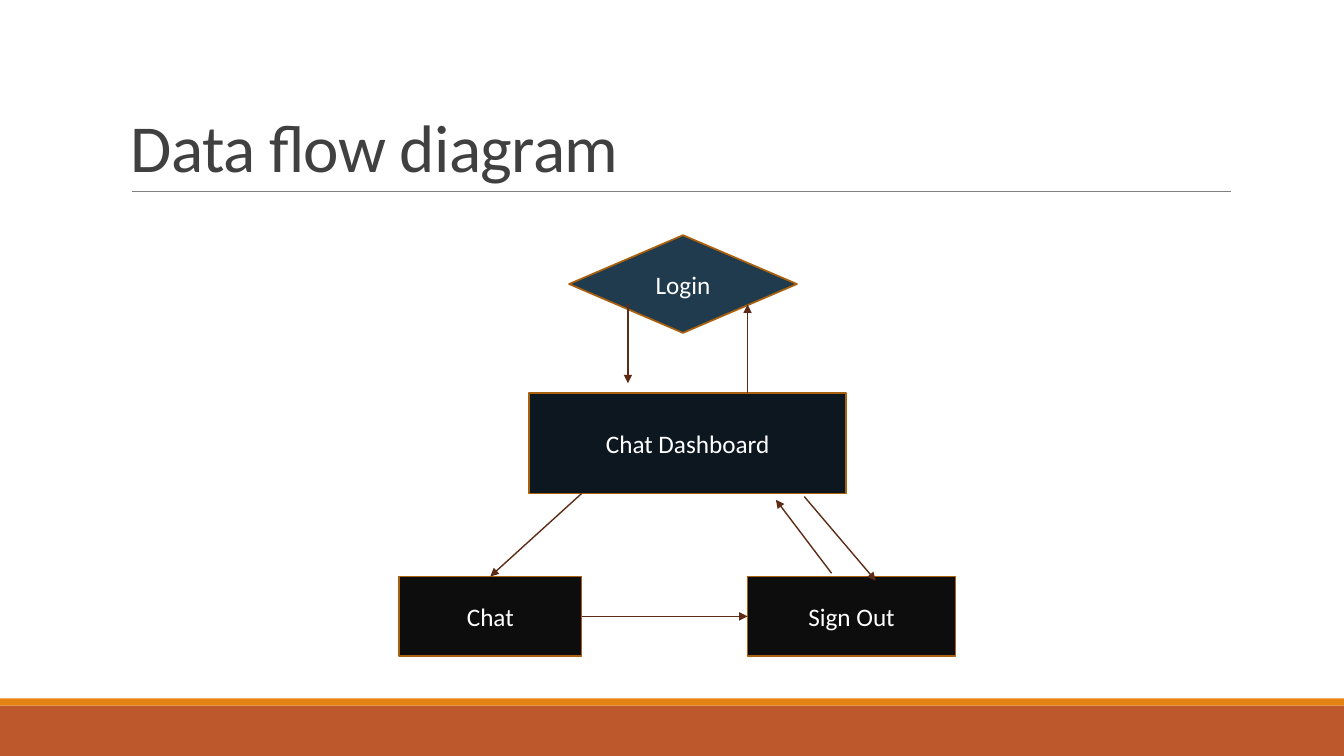
from lxml.etree import SubElement
from pptx import Presentation
from pptx.dml.color import RGBColor
from pptx.enum.shapes import MSO_CONNECTOR, MSO_SHAPE
from pptx.enum.text import MSO_ANCHOR, MSO_AUTO_SIZE, PP_ALIGN
from pptx.oxml.ns import qn
from pptx.util import Emu, Pt

EMU_PER_PX = 9525
SLIDE_WIDTH, SLIDE_HEIGHT = 1280, 720
TOP, LEFT, RIGHT = 0, 1, 3


def px(length):
    return Emu(length * EMU_PER_PX)


def color(hex_string):
    return RGBColor.from_string(hex_string)


def write_text(shape, text, size, hex_color, align=PP_ALIGN.CENTER,
               anchor=MSO_ANCHOR.MIDDLE, line_spacing=None, tracking=None):
    frame = shape.text_frame
    frame.word_wrap = True
    frame.auto_size = MSO_AUTO_SIZE.NONE
    frame.vertical_anchor = anchor
    paragraph = frame.paragraphs[0]
    paragraph.alignment = align
    paragraph.line_spacing = line_spacing
    run = paragraph.add_run()
    run.text = text
    run.font.name = "Calibri"
    run.font.size = Pt(size)
    run.font.color.rgb = color(hex_color)
    if tracking is not None:
        run.font._element.set("spc", str(tracking))


def add_block(slide, kind, left, top, width, height, fill, outline=None):
    shape = slide.shapes.add_shape(kind, px(left), px(top), px(width), px(height))
    shape.shadow.inherit = False
    shape.fill.solid()
    shape.fill.fore_color.rgb = color(fill)
    if outline:
        shape.line.color.rgb = color(outline)
        shape.line.width = Pt(1.25)
    else:
        shape.line.fill.background()
    return shape


def add_line(slide, start, end, hex_color, width, arrow=False):
    """Each end is an (x, y) point or a (shape, side) joint given as a dict."""
    points = [(0, 0) if isinstance(point, dict) else point for point in (start, end)]
    connector = slide.shapes.add_connector(
        MSO_CONNECTOR.STRAIGHT, *(px(value) for point in points for value in point))
    if isinstance(start, dict):
        connector.begin_connect(start["shape"], start["side"])
    if isinstance(end, dict):
        connector.end_connect(end["shape"], end["side"])
    connector.line.color.rgb = color(hex_color)
    connector.line.width = Pt(width)
    if arrow:
        SubElement(connector.line._get_or_add_ln(), qn("a:tailEnd"), type="triangle")
    SubElement(connector._element.spPr, qn("a:effectLst"))
    return connector


def add_footer(slide, left, top, width, height):
    stripe = 7
    add_block(slide, MSO_SHAPE.RECTANGLE, left, top + stripe, width, height - stripe, "BD582C")
    add_block(slide, MSO_SHAPE.RECTANGLE, left, top, width, stripe, "E48312")


def add_heading(slide, left, top, width, height):
    title = slide.shapes.title
    title.left, title.top, title.width, title.height = map(px, (left, top, width, height))
    write_text(title, "Data flow diagram", 48, "404040", align=PP_ALIGN.LEFT,
               anchor=MSO_ANCHOR.BOTTOM, line_spacing=0.85, tracking=-50)
    rule_y = top + height
    add_line(slide, (left + 11, rule_y), (left + width + 1, rule_y), "808080", 0.5)


def add_flow(slide, left, top):
    # Steps
    steps = [
        ("Login", MSO_SHAPE.FLOWCHART_DECISION, 162, 0, 217, 93, "203A4E"),
        ("Chat Dashboard", MSO_SHAPE.RECTANGLE, 124, 150, 302, 96, "0D171F"),
        ("Chat", MSO_SHAPE.RECTANGLE, 0, 325, 174, 76, "0D0D0D"),
        ("Sign Out", MSO_SHAPE.RECTANGLE, 332, 325, 198, 76, "0D0D0D"),
    ]
    blocks = {}
    for name, kind, x, y, width, height, fill in steps:
        block = add_block(slide, kind, left + x, top + y, width, height, fill, "A9610D")
        write_text(block, name, 18, "FFFFFF")
        blocks[name] = block

    def at(x, y):
        return left + x, top + y

    def side_of(name, side):
        return {"shape": blocks[name], "side": side}

    # Arrows
    arrows = [
        (at(218, 66), at(218, 141)),
        (at(332, 150), at(332, 66)),
        (at(174, 246), side_of("Chat", TOP)),
        (at(386, 249), at(454, 329)),
        (side_of("Chat", RIGHT), side_of("Sign Out", LEFT)),
        (at(412, 322), at(359, 252)),
    ]
    for start, end in arrows:
        add_line(slide, start, end, "5E2C16", 1, arrow=True)


def main():
    presentation = Presentation()
    presentation.slide_width, presentation.slide_height = px(SLIDE_WIDTH), px(SLIDE_HEIGHT)
    slide = presentation.slides.add_slide(presentation.slide_layouts[5])
    add_footer(slide, 0, 665, SLIDE_WIDTH, 55)
    add_heading(slide, 115, 29, 1056, 153)
    add_flow(slide, 380, 224)
    presentation.save("out.pptx")


if __name__ == "__main__":
    main()
